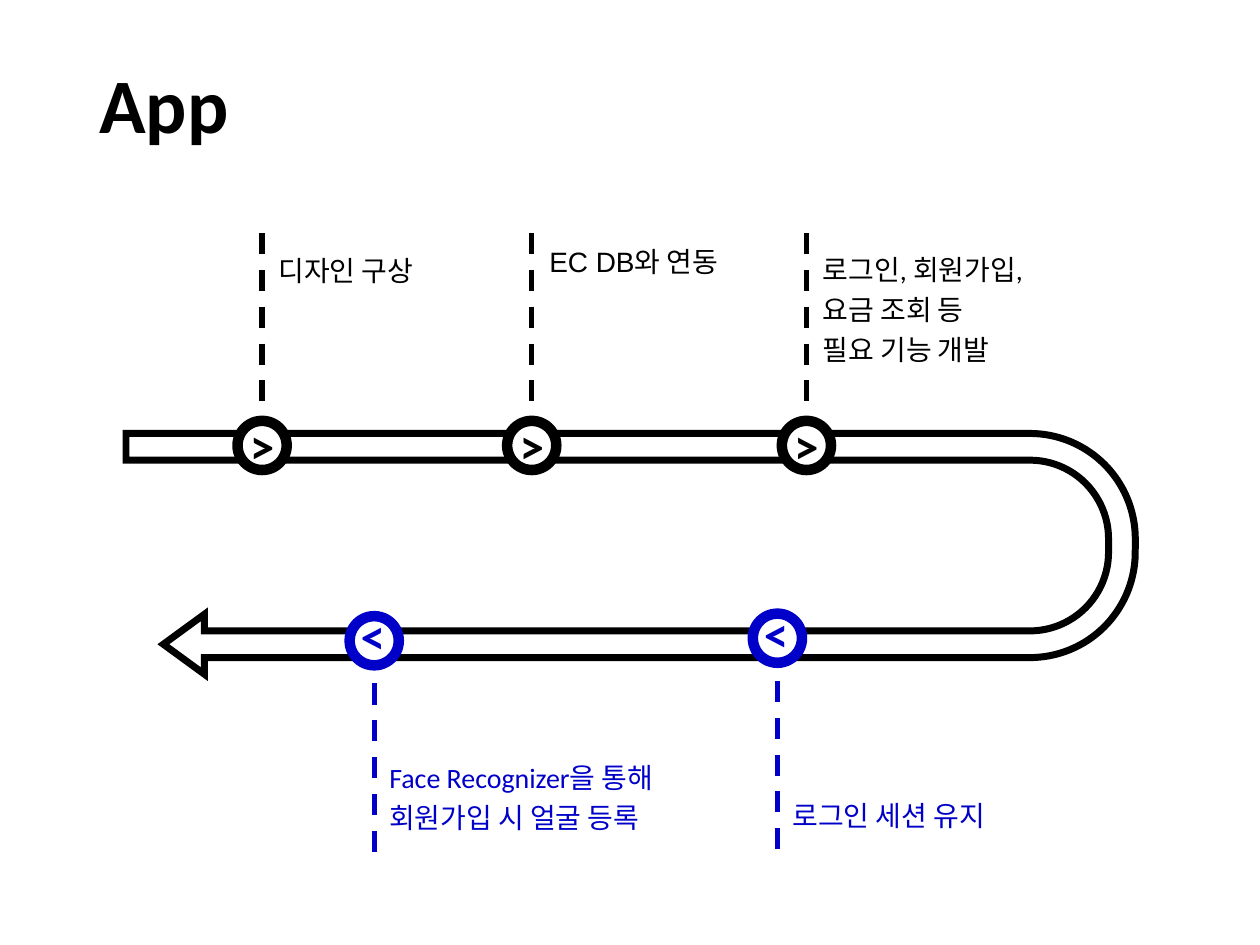
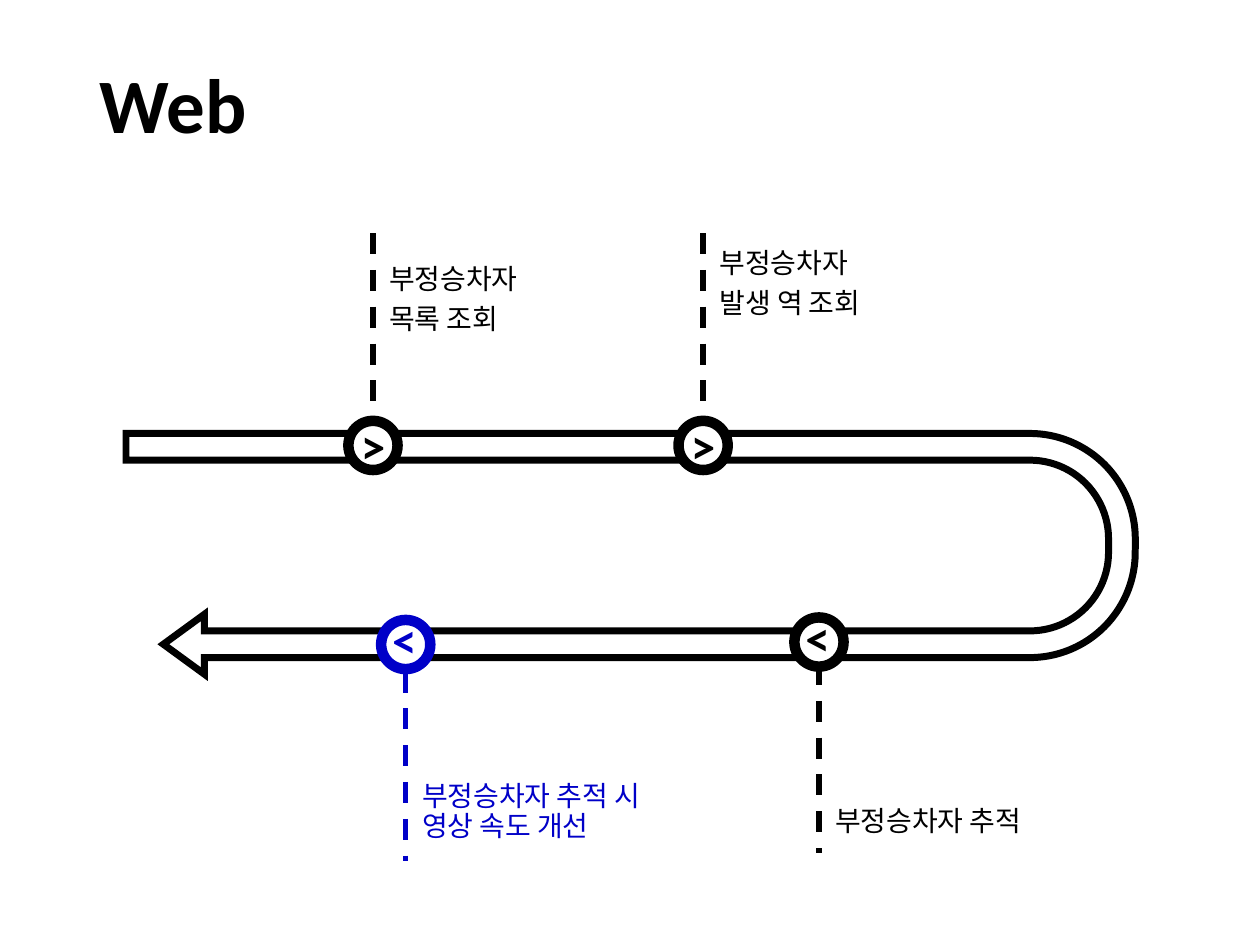
import pptx
import pptx.util
import pptx.dml.color
import pptx.enum.dml
import pptx.enum.shapes
import pptx.enum.text
from dataclasses import dataclass
from lxml import etree
from pptx.util import Inches, Pt

RGB = pptx.dml.color.RGBColor
SHAPE = pptx.enum.shapes.MSO_SHAPE
ANCHOR = pptx.enum.text.MSO_ANCHOR
DRAWING = "{http://schemas.openxmlformats.org/drawingml/2006/main}"


@dataclass(frozen=True)
class Theme:
    done = RGB(0x00, 0x00, 0x00)
    planned = RGB(0x00, 0x00, 0xC8)
    paper = RGB(0xFF, 0xFF, 0xFF)
    font = "Calibri"
    label_font = "Arial"
    title_size = Pt(44)
    label_size = Pt(16)
    chevron_size = Pt(28)
    road_line = Pt(4)
    ring_line = Pt(6)
    dash_line = Pt(3)


theme = Theme()
RING = 0.39

# Each stop: x, ring top, dash start, dash end, colour,
# then its label: left, top, width, height, anchor, font, lines
roadmaps = [
    ("App", [
        (2.08, 3.34, 1.85, 3.34, theme.done,
         2.08, 1.85, 1.88, 0.55, ANCHOR.BOTTOM, theme.label_font, ["디자인 구상"]),
        (4.22, 3.34, 1.85, 3.34, theme.done,
         4.23, 1.85, 1.88, 0.63, ANCHOR.TOP, theme.label_font, ["EC DB와 연동"]),
        (6.4, 3.34, 1.85, 3.34, theme.done,
         6.4, 1.84, 2.18, 1.2, ANCHOR.BOTTOM, theme.font,
         ["로그인, 회원가입,", "요금 조회 등", "필요 기능 개발"]),
        (6.17, 4.87, 6.74, 5.25, theme.planned,
         6.16, 6.13, 2, 0.6, ANCHOR.BOTTOM, theme.font, ["로그인 세션 유지"]),
        (2.97, 4.89, 6.76, 5.26, theme.planned,
         2.96, 5.8, 2.69, 0.95, ANCHOR.BOTTOM, theme.font,
         ["Face Recognizer을 통해", "회원가입 시 얼굴 등록"]),
    ]),
    ("Web", [
        (2.96, 3.34, 1.85, 3.34, theme.done,
         2.96, 1.85, 1.65, 0.94, ANCHOR.BOTTOM, theme.font, ["부정승차자", "목록 조회"]),
        (5.58, 3.34, 1.85, 3.34, theme.done,
         5.58, 1.85, 1.88, 0.94, ANCHOR.TOP, theme.font, ["부정승차자", "발생 역 조회"]),
        (6.5, 4.9, 5.27, 6.77, theme.done,
         6.5, 6.2, 1.9, 0.57, ANCHOR.BOTTOM, theme.font, ["부정승차자 추적"]),
        (3.22, 4.92, 5.33, 6.83, theme.planned,
         3.22, 5.95, 2.37, 0.87, ANCHOR.BOTTOM, theme.font,
         ["부정승차자 추적 시 영상 속도 개선"]),
    ]),
]


def add_text(slide, box, lines, size, color, font=theme.font, bold=False,
             anchor=ANCHOR.TOP, wrap=True, spacing=None, after=None):
    holder = slide.shapes.add_textbox(*map(Inches, box))
    frame = holder.text_frame
    frame.word_wrap = wrap
    frame.vertical_anchor = anchor
    frame.text = "\n".join(lines)
    for paragraph in frame.paragraphs:
        paragraph.line_spacing = spacing
        paragraph.space_after = after
        paragraph.font.size = size
        paragraph.font.name = font
        paragraph.font.bold = bold
        paragraph.font.color.rgb = color
    return holder


def add_outlined(slide, preset, box, color, width, rotation):
    outlined = slide.shapes.add_shape(preset, *map(Inches, box))
    outlined.rotation = rotation
    outlined.shadow.inherit = False
    outlined.fill.solid()
    outlined.fill.fore_color.rgb = theme.paper
    outlined.line.color.rgb = color
    outlined.line.width = width
    return outlined


deck = pptx.Presentation()
deck.slide_width, deck.slide_height = Inches(10), Inches(7.5)

for title, stops in roadmaps:
    slide = deck.slides.add_slide(deck.slide_layouts[6])

    # Title
    add_text(slide, (0.69, 0.35, 8.62, 1.02), [title], theme.title_size, theme.done,
             bold=True, anchor=ANCHOR.MIDDLE, spacing=0.9)

    # Road that turns back on itself
    road = add_outlined(slide, SHAPE.U_TURN_ARROW, (4.05, 0.39, 1.91, 8.01),
                        theme.done, theme.road_line, 90)
    for index, share in enumerate((0.111, 0.124, 0.17, 0.438, 0.963)):
        road.adjustments[index] = share
    etree.SubElement(road.line._get_or_add_ln(), DRAWING + "miter", lim="800000")

    for (x, ring_top, dash_start, dash_end, color,
         left, top, width, height, anchor, font, lines) in stops:
        returning = ring_top > 4
        rotation = 180 if returning else 0
        ring_left = x - RING / 2

        # Ring with its chevron, turned round on the way back
        add_outlined(slide, SHAPE.OVAL, (ring_left, ring_top, RING, RING),
                     color, theme.ring_line, rotation)
        chevron_top = ring_top - (0.07 if returning else 0.09)
        chevron = add_text(slide, (ring_left, chevron_top, 0.38, 0.57), [">"],
                           theme.chevron_size, color, bold=True, wrap=False)
        chevron.rotation = rotation

        # Dashed leader
        leader = slide.shapes.add_connector(
            pptx.enum.shapes.MSO_CONNECTOR.STRAIGHT,
            Inches(x), Inches(dash_start), Inches(x), Inches(dash_end))
        leader.line.color.rgb = color
        leader.line.width = theme.dash_line
        leader.line.dash_style = pptx.enum.dml.MSO_LINE.DASH
        etree.SubElement(leader._element.spPr, DRAWING + "effectLst")

        # Label
        label = add_text(slide, (left, top, width, height), lines, theme.label_size,
                         color, font=font, anchor=anchor, spacing=0.9, after=Pt(5.6))
        frame = label.text_frame
        frame.margin_left = frame.margin_right = Inches(0.13)
        frame.margin_top = frame.margin_bottom = Inches(0.13)

deck.save("out.pptx")
